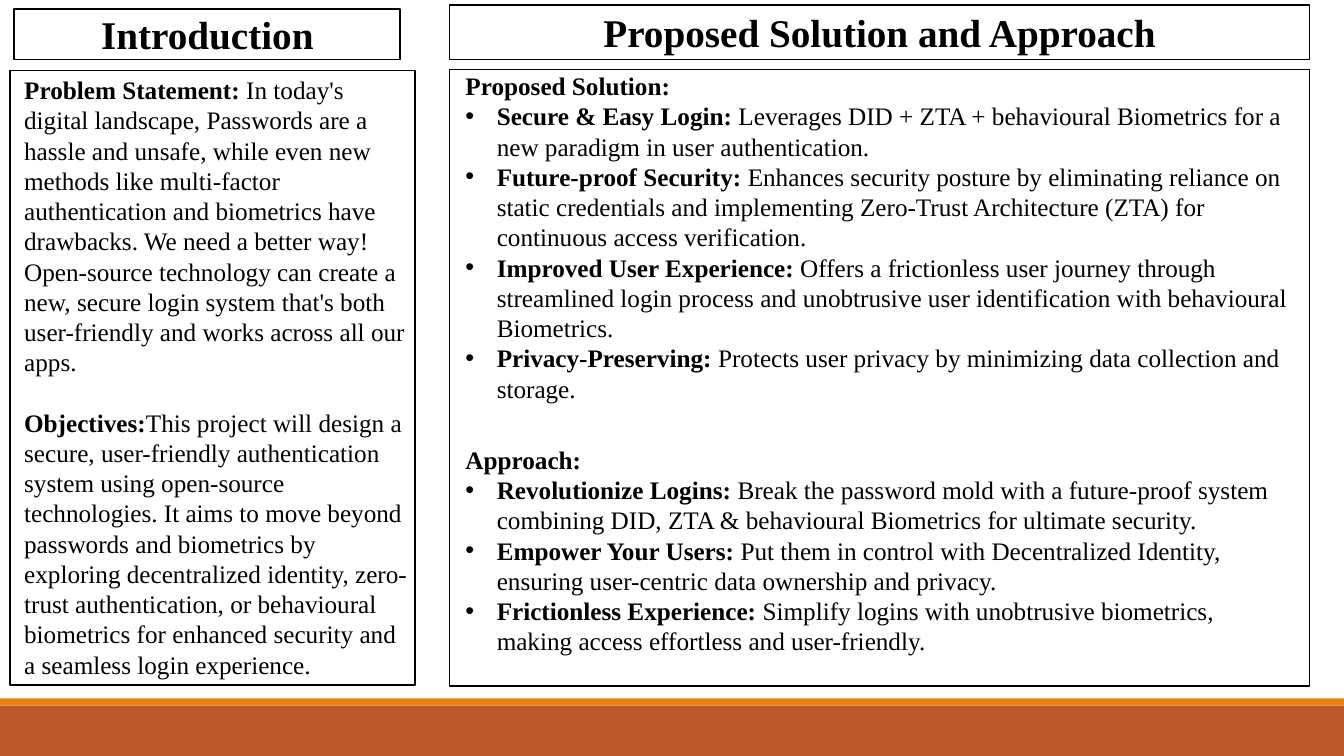
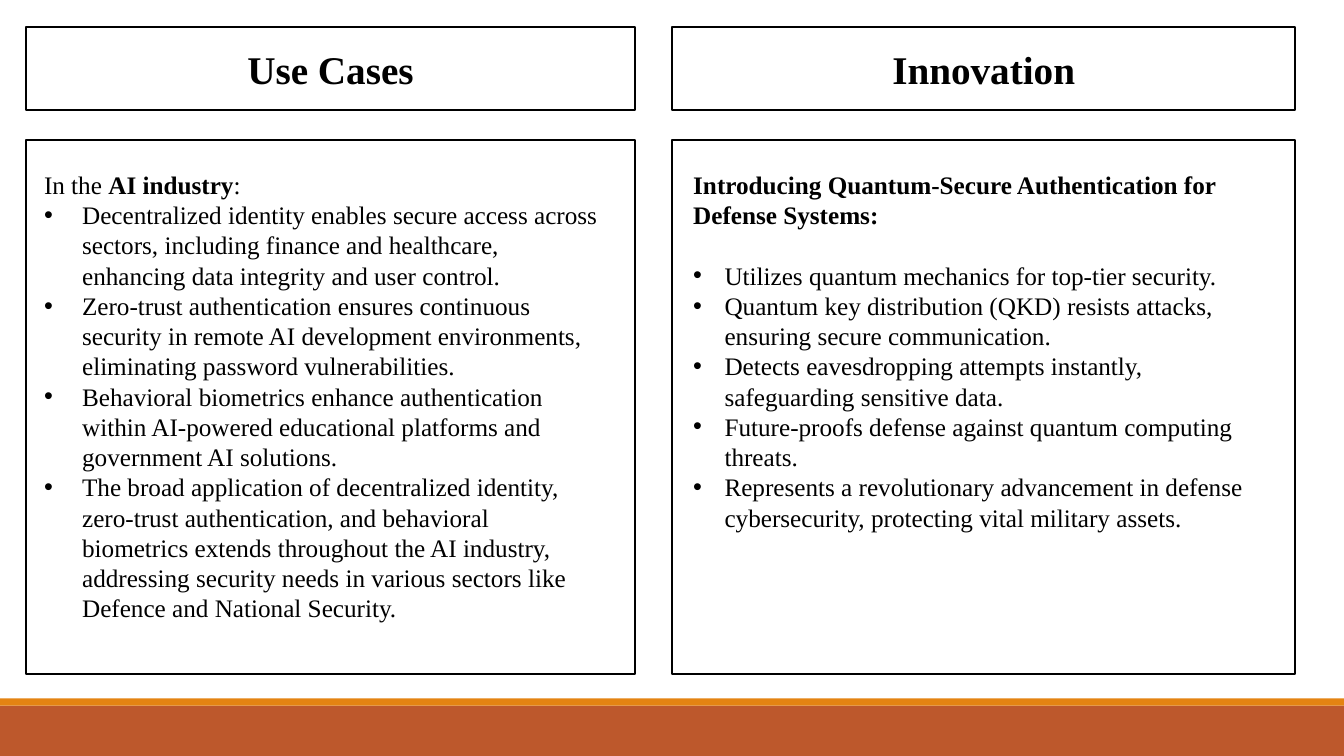
import pptx
import pptx.dml.color
import pptx.enum.shapes
import pptx.enum.text
import pptx.util
from lxml import etree
from pptx.oxml.ns import qn
from pptx.util import Cm, Pt

FONT = "Times New Roman"
BLACK, RUST, ORANGE = "000000", "BD582C", "E48312"
TITLE_SIZE, BODY_SIZE = 28, 18
SECTION_GAP = Pt(21.6)
SLIDE_WIDTH, SLIDE_HEIGHT = 33.87, 19.05


def add_box(slide, box, fill=None, line=None):
    """Add a rectangle; box is left, top, width, height in centimetres."""
    shape = slide.shapes.add_shape(
        pptx.enum.shapes.MSO_SHAPE.RECTANGLE, *[Cm(length) for length in box])
    shape.shadow.inherit = False
    for part, color in ((shape.fill, fill), (shape.line.fill, line)):
        if color:
            part.solid()
            part.fore_color.rgb = pptx.dml.color.RGBColor.from_string(color)
        else:
            part.background()
    if line:
        shape.line.width = Pt(1.25)
    return shape


def write(text_frame, paragraphs, size, indent=0.79, gap=False):
    """Fill the frame: ** marks bold, a leading • a bullet, gap follows paragraph one."""
    text_frame.word_wrap = True
    for index, text in enumerate(paragraphs):
        paragraph = text_frame.paragraphs[0] if index == 0 else text_frame.add_paragraph()
        if gap and index == 1:
            paragraph.space_before = SECTION_GAP
        if text.startswith("•"):
            properties = paragraph._p.get_or_add_pPr()
            properties.set("marL", str(Cm(indent)))
            properties.set("indent", str(-Cm(indent)))
            etree.SubElement(properties, qn("a:buFont")).set("typeface", "Arial")
            etree.SubElement(properties, qn("a:buChar")).set("char", "•")
        for position, part in enumerate(text.removeprefix("•").split("**")):
            if part:
                run = paragraph.add_run()
                run.text = part
                run.font.name = FONT
                run.font.size = Pt(size)
                run.font.bold = position % 2 == 1
                run.font.color.rgb = pptx.dml.color.RGBColor.from_string(BLACK)


# Each column: title, title box, panel box, and its text blocks
# (box, bullet indent, gap after the first paragraph, paragraphs).
introduction = (
    "Introduction", (0.36, 0.23, 9.73, 1.27), (0.25, 1.78, 10.21, 15.49),
    [((0.36, 1.75, 10.21, 15.65), 0, True, [
        "**Problem Statement: **In today's digital landscape, Passwords are a hassle and "
        "unsafe, while even new methods like multi-factor authentication and biometrics have "
        "drawbacks. We need a better way! Open-source technology can create a new, secure "
        "login system that's both user-friendly and works across all our apps.",
        "**Objectives:**This project will design a secure, user-friendly authentication "
        "system using open-source technologies. It aims to move beyond passwords and "
        "biometrics by exploring decentralized identity, zero-trust authentication, or "
        "behavioural biometrics for enhanced security and a seamless login experience.",
    ])])

proposal = (
    "Proposed Solution and Approach", (11.33, 0.13, 21.67, 1.37), (11.33, 1.75, 21.67, 15.54),
    [((11.48, 1.65, 21.39, 8.71), 0.79, False, [
        "**Proposed Solution:**",
        "•**Secure & Easy Login:** Leverages DID + ZTA + behavioural Biometrics for a new "
        "paradigm in user authentication.",
        "•**Future-proof Security:** Enhances security posture by eliminating reliance on "
        "static credentials and implementing Zero-Trust Architecture (ZTA) for continuous "
        "access verification.",
        "•**Improved User Experience:** Offers a frictionless user journey through streamlined "
        "login process and unobtrusive user identification with behavioural Biometrics.",
        "•**Privacy-Preserving:** Protects user privacy by minimizing data collection and "
        "storage.",
    ]),
     ((11.48, 11.07, 21.39, 5.64), 0.79, False, [
        "**Approach:**",
        "•**Revolutionize Logins:** Break the password mold with a future-proof system "
        "combining DID, ZTA & behavioural Biometrics for ultimate security.",
        "•**Empower Your Users:** Put them in control with Decentralized Identity, ensuring "
        "user-centric data ownership and privacy.",
        "•**Frictionless Experience:** Simplify logins with unobtrusive biometrics, making "
        "access effortless and user-friendly.",
    ])])

use_cases = (
    "Use Cases", (0.66, 0.69, 15.34, 2.08), (0.66, 3.53, 15.34, 13.46),
    [((0.86, 4.14, 14.5, 11.79), 0.96, False, [
        "In the **AI industry**:",
        "•Decentralized identity enables secure access across sectors, including finance and "
        "healthcare, enhancing data integrity and user control.",
        "•Zero-trust authentication ensures continuous security in remote AI development "
        "environments, eliminating password vulnerabilities.",
        "•Behavioral biometrics enhance authentication within AI-powered educational platforms "
        "and government AI solutions.",
        "•The broad application of decentralized identity, zero-trust authentication, and "
        "behavioral biometrics extends throughout the AI industry, addressing security needs "
        "in various sectors like Defence and National Security.",
    ])])

innovation = (
    "Innovation", (16.94, 0.69, 15.7, 2.08), (16.94, 3.53, 15.7, 13.46),
    [((17.22, 4.14, 14.83, 9.5), 0.79, True, [
        "**Introducing Quantum-Secure Authentication for Defense Systems:**",
        "•Utilizes quantum mechanics for top-tier security.",
        "•Quantum key distribution (QKD) resists attacks, ensuring secure communication.",
        "•Detects eavesdropping attempts instantly, safeguarding sensitive data.",
        "•Future-proofs defense against quantum computing threats.",
        "•Represents a revolutionary advancement in defense cybersecurity, protecting vital "
        "military assets.",
    ])])

presentation = pptx.Presentation()
presentation.slide_width = Cm(SLIDE_WIDTH)
presentation.slide_height = Cm(SLIDE_HEIGHT)
blank_layout = presentation.slide_layouts[6]

for columns in ((introduction, proposal), (use_cases, innovation)):
    slide = presentation.slides.add_slide(blank_layout)
    for title, title_box, panel_box, blocks in columns:
        title_shape = add_box(slide, title_box, line=BLACK)
        title_shape.text_frame.vertical_anchor = pptx.enum.text.MSO_ANCHOR.MIDDLE
        write(title_shape.text_frame, [f"**{title}**"], TITLE_SIZE)
        title_shape.text_frame.paragraphs[0].alignment = pptx.enum.text.PP_ALIGN.CENTER
        add_box(slide, panel_box, line=BLACK)
        for box, indent, gap, paragraphs in blocks:
            text_box = slide.shapes.add_textbox(*[Cm(length) for length in box])
            write(text_box.text_frame, paragraphs, BODY_SIZE, indent, gap)
            text_box.text_frame.auto_size = pptx.enum.text.MSO_AUTO_SIZE.SHAPE_TO_FIT_TEXT

# The footer bands move to the layout, so every slide shows them.
for band_box, color in (((0, 17.78, SLIDE_WIDTH, 1.27), RUST),
                        ((0, 17.6, SLIDE_WIDTH, 0.18), ORANGE)):
    band = add_box(slide, band_box, fill=color)
    blank_layout.shapes.element.append(band.element)

presentation.save("out.pptx")
